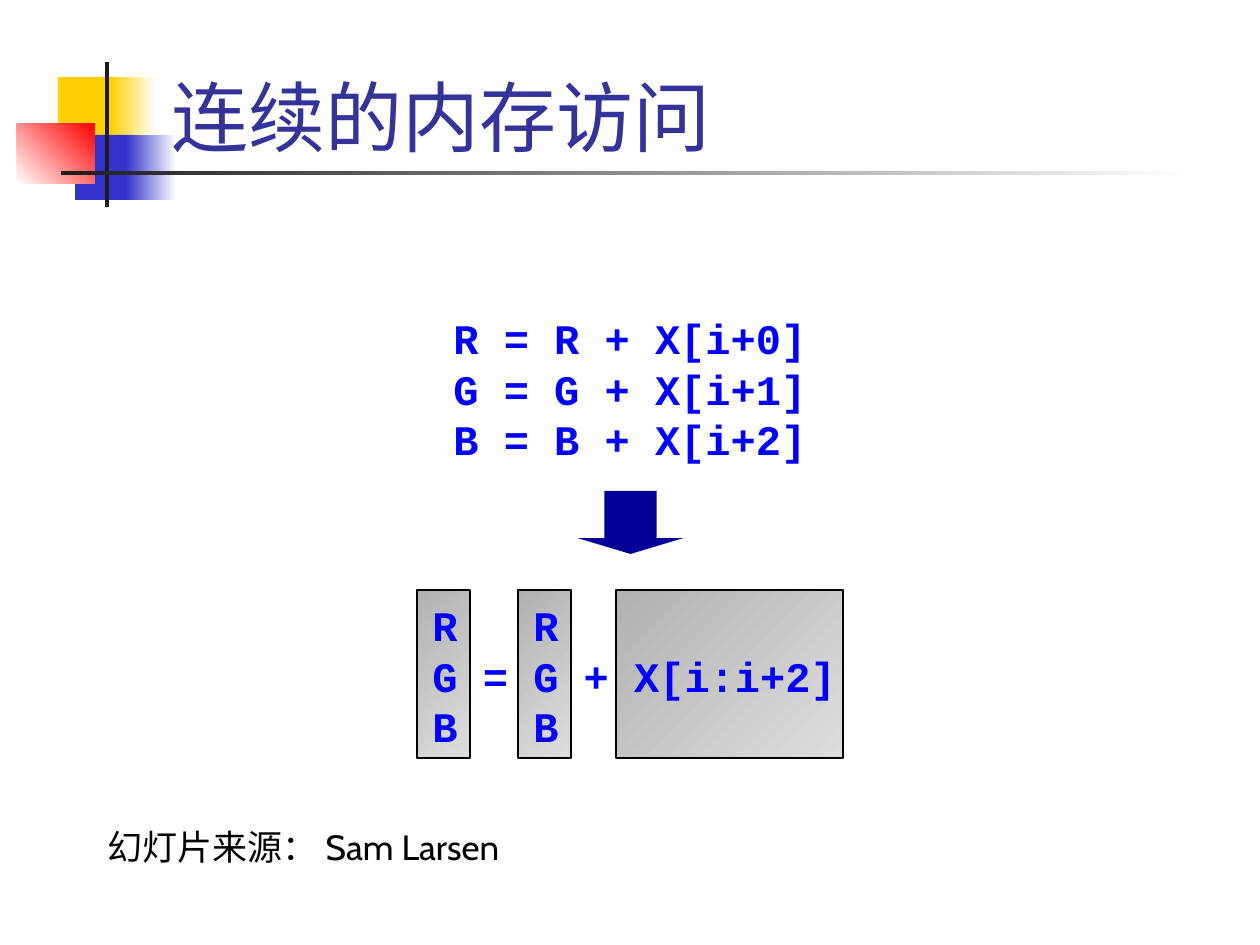
from dataclasses import dataclass
from typing import Optional, Sequence

from pptx import Presentation
from pptx import util as u
from pptx.dml.color import RGBColor
from pptx.enum import shapes, text

EMU_PER_PX = 914400 / 126
CODE_FONT = "Courier New"
CODE_BLUE = "0000FF"


@dataclass
class Block:
    left: int
    top: int
    width: int
    height: int
    start: str
    end: Optional[str] = None
    angle: int = 0
    outline: Optional[str] = None
    kind: shapes.MSO_SHAPE = shapes.MSO_SHAPE.RECTANGLE


@dataclass
class Caption:
    left: int
    top: int
    width: int
    height: int
    lines: Sequence[str]
    font: str
    size: int
    color: str
    bold: bool = False
    anchor: text.MSO_ANCHOR = text.MSO_ANCHOR.TOP
    wrap: bool = False
    line_pitch: Optional[float] = None


def px(length: int) -> u.Emu:
    return u.Emu(round(length * EMU_PER_PX))


def rgb(value: str) -> RGBColor:
    return RGBColor.from_string(value)


def draw_block(slide, block: Block) -> None:
    shape = slide.shapes.add_shape(
        block.kind, px(block.left), px(block.top), px(block.width), px(block.height))
    shape.shadow.inherit = False
    if block.end:
        shape.fill.gradient()
        shape.fill.gradient_angle = -block.angle % 360
        for stop, color, position in zip(
                shape.fill.gradient_stops, (block.start, block.end), (0, 1)):
            stop.color.rgb = rgb(color)
            stop.position = position
    else:
        shape.fill.solid()
        shape.fill.fore_color.rgb = rgb(block.start)
    if block.outline:
        shape.line.color.rgb = rgb(block.outline)
        shape.line.width = u.Pt(0.75)
    else:
        shape.line.fill.background()


def draw_caption(slide, caption: Caption) -> None:
    box = slide.shapes.add_textbox(
        px(caption.left), px(caption.top), px(caption.width), px(caption.height))
    frame = box.text_frame
    frame.word_wrap = caption.wrap
    frame.vertical_anchor = caption.anchor
    for index, line in enumerate(caption.lines):
        paragraph = frame.paragraphs[0] if index == 0 else frame.add_paragraph()
        paragraph.alignment = text.PP_ALIGN.LEFT
        if caption.line_pitch:
            paragraph.line_spacing = u.Pt(caption.line_pitch)
        run = paragraph.add_run()
        run.text = line
        run.font.name = caption.font
        run.font.size = u.Pt(caption.size)
        run.font.bold = caption.bold
        run.font.color.rgb = rgb(caption.color)


def code(left: int, top: int, width: int, lines: Sequence[str]) -> Caption:
    return Caption(left, top, width, 165, lines, CODE_FONT, 24, CODE_BLUE,
                   bold=True, anchor=text.MSO_ANCHOR.MIDDLE, line_pitch=28.8)


def main() -> None:
    deck = Presentation()
    deck.slide_width, deck.slide_height = px(1260), px(945)
    slide = deck.slides.add_slide(deck.slide_layouts[6])

    ornament = [
        Block(58, 77, 60, 65, "FFCF01"),
        Block(110, 77, 46, 65, "FFCF01", "FFFFFF"),
        Block(75, 135, 58, 65, "3333CC"),
        Block(126, 135, 50, 65, "3333CC", "FFFFFF"),
        Block(17, 124, 78, 60, "FFFFFF", "FF0000", angle=315),
        Block(105, 62, 4, 145, "1C1C1C"),
        Block(61, 171, 1134, 4, "1C1C1C", "FFFFFF"),
    ]
    vectors = [
        Block(left, 590, width, 168, "B2B2B2", "DDDDDD", angle=45, outline="000000")
        for left, width in ((417, 53), (518, 53), (616, 227))
    ]
    packing_arrow = Block(578, 491, 105, 63, "000099", kind=shapes.MSO_SHAPE.DOWN_ARROW)
    packing_arrow_head = 0.25

    title = Caption(159, 10, 1073, 158, ["连续的内存访问"], "Times New Roman", 44,
                    "333399", anchor=text.MSO_ANCHOR.BOTTOM, wrap=True)
    scalar_code = code(441, 306, 381,
                       [f"{name} = {name} + X[i+{i}]" for i, name in enumerate("RGB")])
    vector_code = code(420, 593, 432, ["R   R", "G = G + X[i:i+2]", "B   B"])
    credit = Caption(95, 819, 430, 55, ["幻灯片来源： Sam Larsen"], "Cabin", 20, "000000")

    for block in ornament:
        draw_block(slide, block)
    draw_caption(slide, title)
    draw_caption(slide, scalar_code)
    for block in vectors:
        draw_block(slide, block)
    draw_caption(slide, vector_code)
    draw_block(slide, packing_arrow)
    slide.shapes[-1].adjustments[1] = packing_arrow_head
    draw_caption(slide, credit)

    deck.save("out.pptx")


if __name__ == "__main__":
    main()
